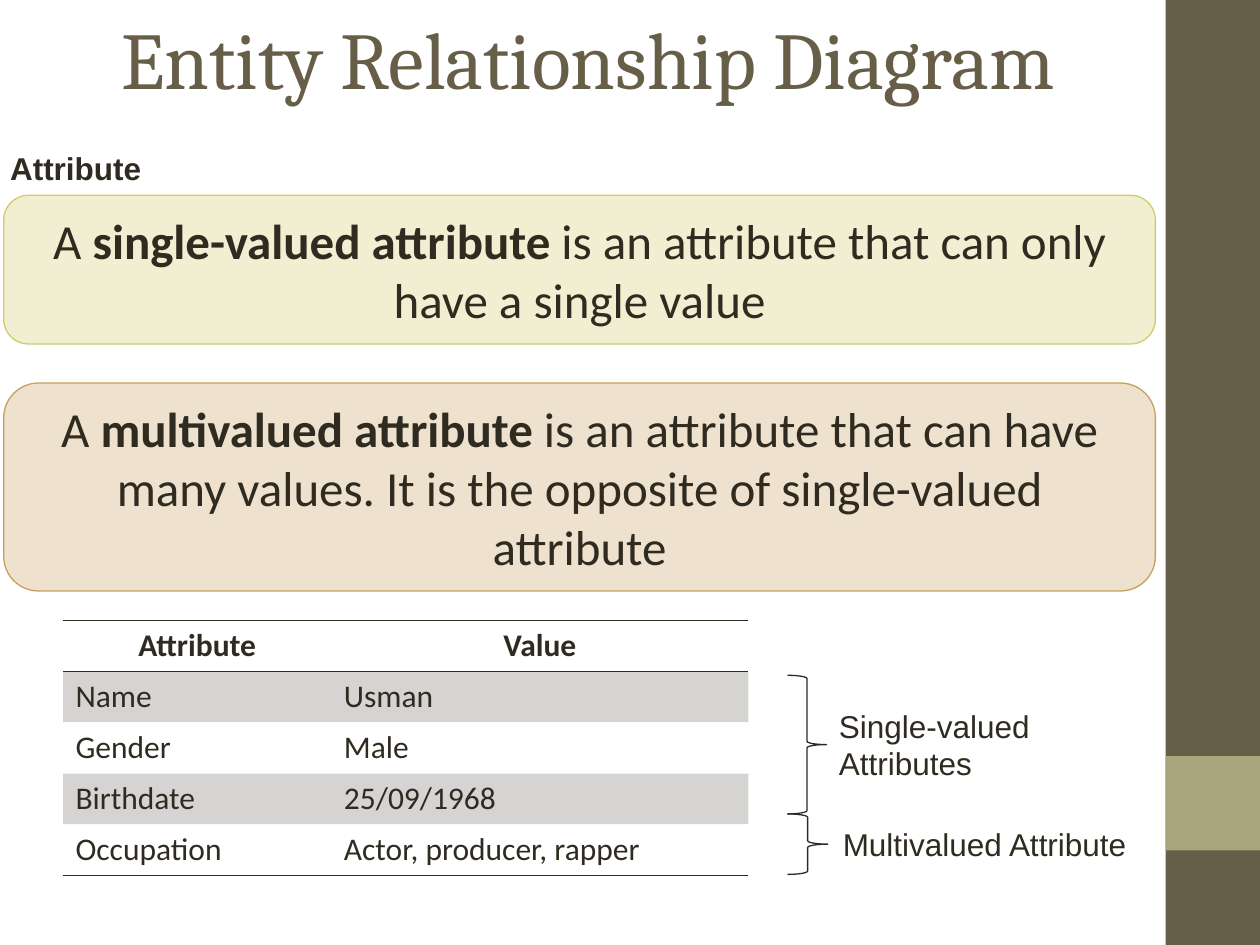
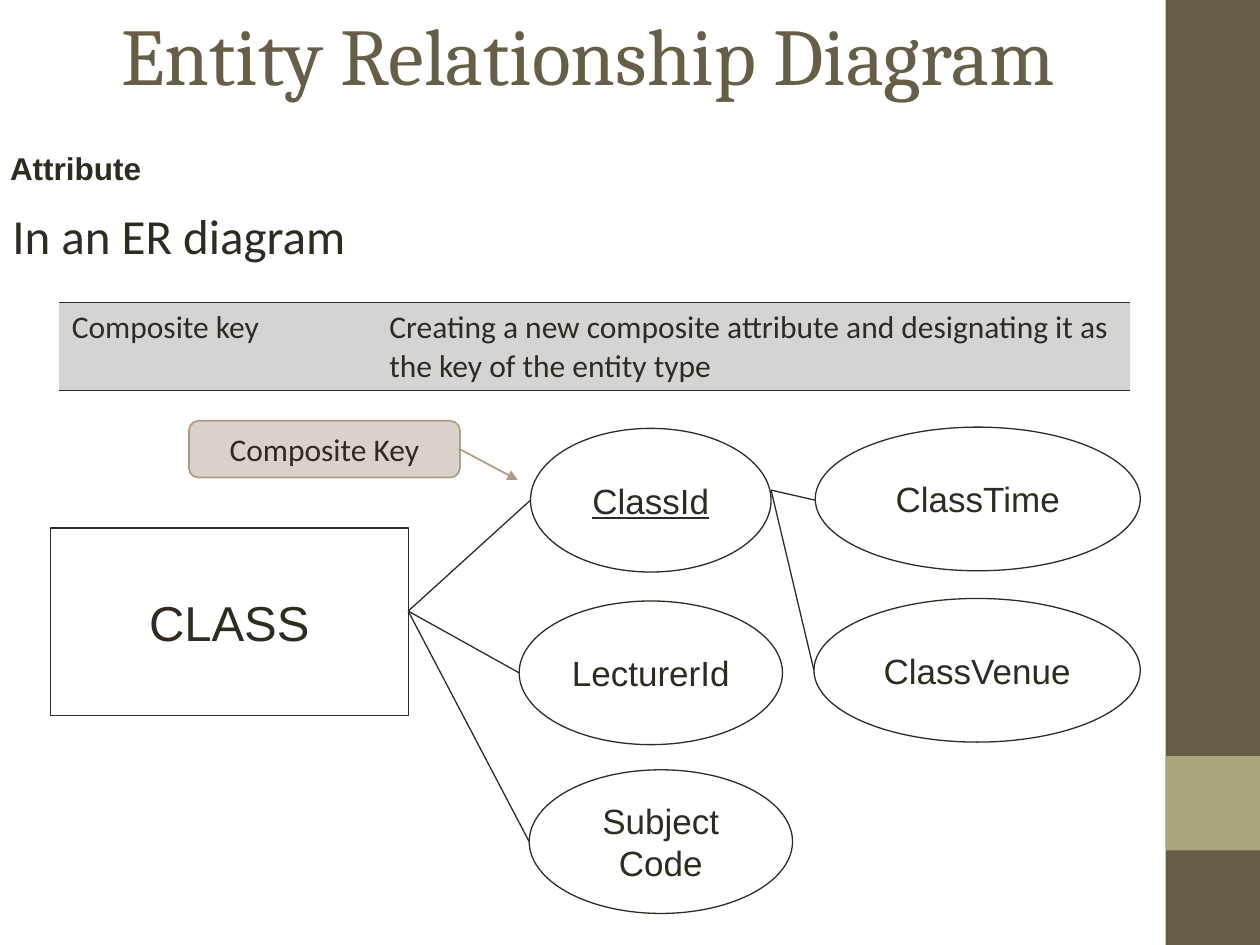
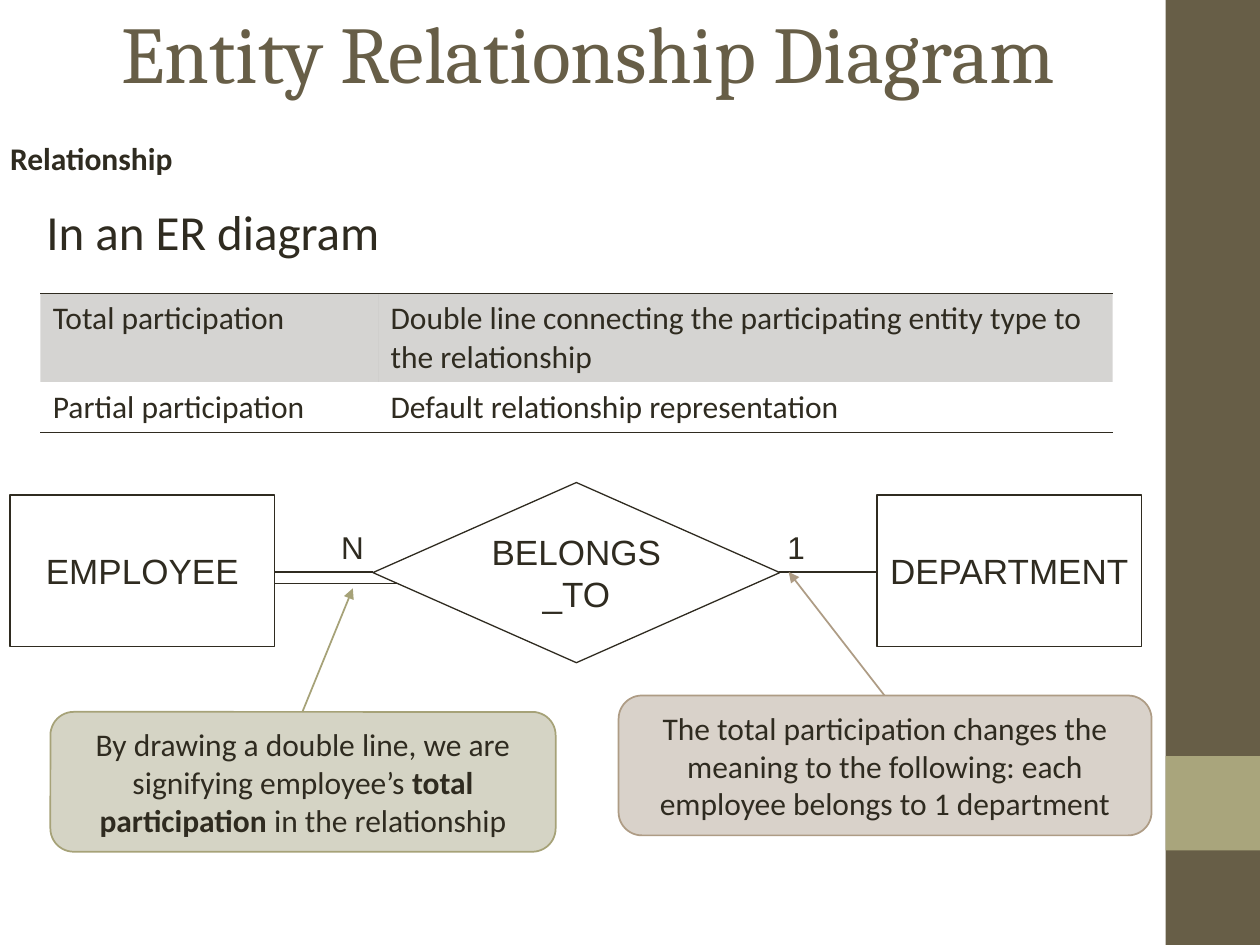
"""Build three slides on attributes and relationships in ER diagrams."""
from lxml.etree import SubElement
from pptx import Presentation
from pptx.dml.color import RGBColor
from pptx.enum.shapes import MSO_CONNECTOR, MSO_SHAPE as SHAPE
from pptx.enum.text import MSO_ANCHOR as ANCHOR, PP_ALIGN as ALIGN
from pptx.oxml.ns import qn
from pptx.util import Inches, Pt

COLORS = {
    "white": "FFFFFF", "ink": "2F2B20", "olive": "675E47", "sage": "A9A57C",
    "lime": "D2CB6C", "amber": "C89F5D", "tan": "AE9C85", "tan_pale": "D9D2CA",
    "moss": "A6A278", "moss_pale": "D5D4C5",
}
TITLE = "Entity Relationship Diagram"
BANDS = [((9.25, 0, 0.75, 7.5), "olive"), ((9.25, 6, 0.75, 0.75), "sage")]

BODY = {"name": "Calibri", "size": Pt(18)}
LARGE = {"name": "Calibri", "size": Pt(28)}
LABEL = {"name": "Arial", "size": Pt(18)}
NODE = {"name": "Arial", "size": Pt(20)}
ENTITY = {"name": "Arial", "size": Pt(28)}
HEADING = {"name": "Cambria", "size": Pt(46)}

KINDS = {
    "lime_box": dict(shape=SHAPE.ROUNDED_RECTANGLE, fill="lime", alpha=30, line="lime", font=LARGE),
    "amber_box": dict(shape=SHAPE.ROUNDED_RECTANGLE, fill="amber", alpha=30, line="amber", font=LARGE),
    "tan_note": dict(shape=SHAPE.ROUNDED_RECTANGLE, fill="tan_pale", line="tan", width=1, font=BODY),
    "moss_note": dict(shape=SHAPE.ROUNDED_RECTANGLE, fill="moss_pale", line="moss", width=1, font=BODY),
    "brace": dict(shape=SHAPE.RIGHT_BRACE, line="ink"),
    "main_entity": dict(shape=SHAPE.RECTANGLE, line="ink", font=ENTITY),
    "entity": dict(shape=SHAPE.RECTANGLE, fill="white", line="ink", font=NODE, inset=0.05),
    "relation": dict(shape=SHAPE.DIAMOND, fill="white", line="ink", font=NODE),
    "attribute": dict(shape=SHAPE.OVAL, line="ink", font=NODE),
    "key": dict(shape=SHAPE.OVAL, line="ink", font={**NODE, "underline": True}),
}
CLASS_PORT, CLASS_ID_PORT = (3.24, 4.85), (6.12, 3.89)

SLIDES = [
    {
        "title_height": 0.91,
        "texts": [
            ("Attribute", (0, 1.23, 1.25, 0.35), "topic", LABEL),
            ("Single-valued Attributes", (6.56, 5.56, 2.28, 0.7), "label", LABEL),
            ("Multivalued Attribute", (6.59, 6.5, 2.52, 0.4), "label", LABEL),
        ],
        "shapes": [
            ("lime_box", (0.03, 1.55, 9.14, 1.18),
             "A *single-valued attribute* is an attribute that can only have a single value"),
            ("amber_box", (0.03, 3.04, 9.14, 1.65),
             "A *multivalued attribute* is an attribute that can have many values. "
             "It is the opposite of single-valued attribute"),
            ("brace", (6.25, 5.36, 0.31, 1.1), ""),
            ("brace", (6.25, 6.46, 0.32, 0.48), ""),
        ],
        "table": {
            "at": (0.5, 4.92), "cols": (2.13, 3.31), "heights": [0.41, 0.4, 0.41, 0.4, 0.41],
            "header": ("Attribute", "Value"),
            "rows": [("Name", "Usman"), ("Gender", "Male"), ("Birthdate", "25/09/1968"),
                     ("Occupation", "Actor, producer, rapper")],
        },
        "lines": [],
    },
    {
        "title_height": 0.84,
        "texts": [
            ("Attribute", (0, 1.23, 1.33, 0.35), "topic", LABEL),
            ("In an ER diagram", (0, 1.58, 9.2, 0.6), "label", LARGE),
        ],
        "shapes": [
            ("main_entity", (0.4, 4.19, 2.84, 1.49), "CLASS"),
            ("key", (4.21, 3.4, 1.91, 1.14), "ClassId"),
            ("attribute", (4.12, 4.77, 2.09, 1.14), "LecturerId"),
            ("attribute", (4.2, 6.11, 2.09, 1.14), "Subject\nCode"),
            ("attribute", (6.47, 3.39, 2.58, 1.14), "ClassTime"),
            ("attribute", (6.46, 4.75, 2.59, 1.14), "ClassVenue"),
            ("tan_note", (1.5, 3.34, 2.15, 0.45), "Composite Key"),
        ],
        "table": {
            "at": (0.47, 2.4), "cols": (2.52, 5.98), "heights": [0.7], "header": None,
            "rows": [("Composite key", "Creating a new composite attribute and designating "
                                       "it as the key of the entity type")],
        },
        "lines": [
            (CLASS_PORT, (4.21, 3.97), "ink"),
            (CLASS_PORT, (4.12, 5.34), "ink"),
            (CLASS_PORT, (4.2, 6.68), "ink"),
            (CLASS_ID_PORT, (6.47, 3.97), "ink"),
            (CLASS_ID_PORT, (6.46, 5.32), "ink"),
            ((3.64, 3.56), (4.11, 3.81), "tan"),
        ],
    },
    {
        "title_height": 0.82,
        "texts": [
            ("Relationship", (0, 1.15, 1.58, 0.35), "topic", BODY),
            ("In an ER diagram", (0.27, 1.55, 8.9, 0.6), "label", LARGE),
            ("N", (2.61, 4.14, 0.39, 0.39), "label", LABEL),
            ("1", (6.15, 4.14, 0.39, 0.39), "label", LABEL),
        ],
        "shapes": [
            ("entity", (0.08, 3.93, 2.1, 1.2), "EMPLOYEE"),
            ("entity", (6.96, 3.93, 2.1, 1.2), "DEPARTMENT"),
            ("relation", (2.96, 3.83, 3.23, 1.43), "BELONGS_TO"),
            ("tan_note", (4.91, 5.52, 4.23, 1.11),
             "The total participation changes the meaning to the following: "
             "each employee belongs to 1 department"),
            ("moss_note", (0.4, 5.65, 4.01, 1.11),
             "By drawing a double line, we are signifying employee’s "
             "*total participation* in the relationship"),
        ],
        "table": {
            "at": (0.32, 2.33), "cols": (2.68, 5.83), "heights": [0.7, 0.4], "header": None,
            "rows": [("Total participation", "Double line connecting the participating "
                                             "entity type to the relationship"),
                     ("Partial participation", "Default relationship representation")],
        },
        "lines": [
            ((2.18, 4.54), (2.96, 4.54), "ink"),
            ((2.18, 4.63), (3.15, 4.63), "ink"),
            ((6.18, 4.54), (6.96, 4.54), "ink"),
            ((7.02, 5.52), (6.26, 4.54), "tan"),
            ((2.4, 5.65), (2.8, 4.67), "moss"),
        ],
    },
]


def rgb(name):
    return RGBColor.from_string(COLORS[name])


def paint(fill, parent, color, alpha=100):
    if not color:
        fill.background()
        return
    fill.solid()
    fill.fore_color.rgb = rgb(color)
    if alpha < 100:
        clr = parent.find(qn("a:solidFill"))[0]
        SubElement(clr, qn("a:alpha"), val=str(alpha * 1000))


def write(tf, text, font, align=ALIGN.LEFT, color="ink", spacing=None):
    for i, line in enumerate(text.split("\n")):
        p = tf.add_paragraph() if i else tf.paragraphs[0]
        p.alignment, p.line_spacing = align, spacing
        for j, part in enumerate(line.split("*")):
            r = p.add_run()
            r.text = part
            for key, value in {"bold": j % 2 == 1, **font}.items():
                setattr(r.font, key, value)
            r.font.color.rgb = rgb(color)


def set_frame(tf, anchor, x=0.1, y=0.05):
    values = {"word_wrap": True, "vertical_anchor": anchor,
              "margin_left": Inches(x), "margin_right": Inches(x),
              "margin_top": Inches(y), "margin_bottom": Inches(y)}
    for key, value in values.items():
        setattr(tf, key, value)


def add_text(s, text, at, role, font):
    tf = s.shapes.add_textbox(*map(Inches, at)).text_frame
    if role == "title":
        set_frame(tf, ANCHOR.MIDDLE)
        write(tf, text, font, ALIGN.CENTER, "olive")
    elif role == "topic":
        set_frame(tf, ANCHOR.TOP, 0.08, 0)
        write(tf, text, {**font, "bold": True}, spacing=Pt(18))
    else:
        set_frame(tf, ANCHOR.TOP)
        write(tf, text, font)


def add_shape(s, at, shape, text="", fill=None, alpha=100, line=None, width=0.75,
              font=BODY, inset=0.1):
    sp = s.shapes.add_shape(shape, *map(Inches, at))
    sp.shadow.inherit = False
    paint(sp.fill, sp.element.spPr, fill, alpha)
    paint(sp.line.fill, None, line)
    if line:
        sp.line.width = Pt(width)
    if text:
        set_frame(sp.text_frame, ANCHOR.MIDDLE, inset)
        write(sp.text_frame, text, font, ALIGN.CENTER)


def add_line(s, start, end, color):
    arrow = color != "ink"
    c = s.shapes.add_connector(MSO_CONNECTOR.STRAIGHT, *map(Inches, start + end))
    c.line.color.rgb = rgb(color)
    c.line.width = Pt(1 if arrow else 0.75)
    spPr = c.element.spPr
    if arrow:
        SubElement(spPr.find(qn("a:ln")), qn("a:tailEnd"), type="triangle")
    SubElement(spPr, qn("a:effectLst"))


def set_borders(cell, ruled):
    tcPr = cell._tc.get_or_add_tcPr()
    for i, side in enumerate(("lnL", "lnR", "lnT", "lnB")):
        ln = SubElement(tcPr, qn("a:" + side), w=str(Pt(0.45)))
        if side in ruled:
            fill = SubElement(ln, qn("a:solidFill"))
            SubElement(fill, qn("a:srgbClr"), val=COLORS["ink"])
        else:
            SubElement(ln, qn("a:noFill"))
        tcPr.insert(i, ln)


def add_table(s, at, cols, heights, header, rows):
    data = ([header] if header else []) + rows
    size = (sum(cols), sum(heights))
    table = s.shapes.add_table(len(data), len(cols), *map(Inches, at + size)).table
    table.first_row = table.horz_banding = False
    for col, width in zip(table.columns, cols):
        col.width = Inches(width)
    first_body = 1 if header else 0
    for i, values in enumerate(data):
        table.rows[i].height = Inches(heights[i])
        is_header = i < first_body
        shaded = not is_header and (i - first_body) % 2 == 0
        ruled = {"lnT"} if i in (0, first_body) else set()
        if is_header or i == len(data) - 1:
            ruled.add("lnB")
        for j, value in enumerate(values):
            cell = table.cell(i, j)
            paint(cell.fill, cell._tc.get_or_add_tcPr(), "ink" if shaded else None, 20)
            set_borders(cell, ruled)
            write(cell.text_frame, value, {**BODY, "bold": is_header},
                  ALIGN.CENTER if is_header else ALIGN.LEFT)


def add_slide(prs, content):
    s = prs.slides.add_slide(prs.slide_layouts[6])
    for at, fill in BANDS:
        add_shape(s, at, SHAPE.RECTANGLE, fill=fill)
    add_text(s, TITLE, (0.5, 0, 8.33, content["title_height"]), "title", HEADING)
    add_table(s, **content["table"])
    for kind, at, text in content["shapes"]:
        add_shape(s, at, text=text, **KINDS[kind])
    for line in content["lines"]:
        add_line(s, *line)
    for text in content["texts"]:
        add_text(s, *text)


def main():
    prs = Presentation()
    prs.slide_width, prs.slide_height = Inches(10), Inches(7.5)
    for content in SLIDES:
        add_slide(prs, content)
    prs.save("out.pptx")


if __name__ == "__main__":
    main()
